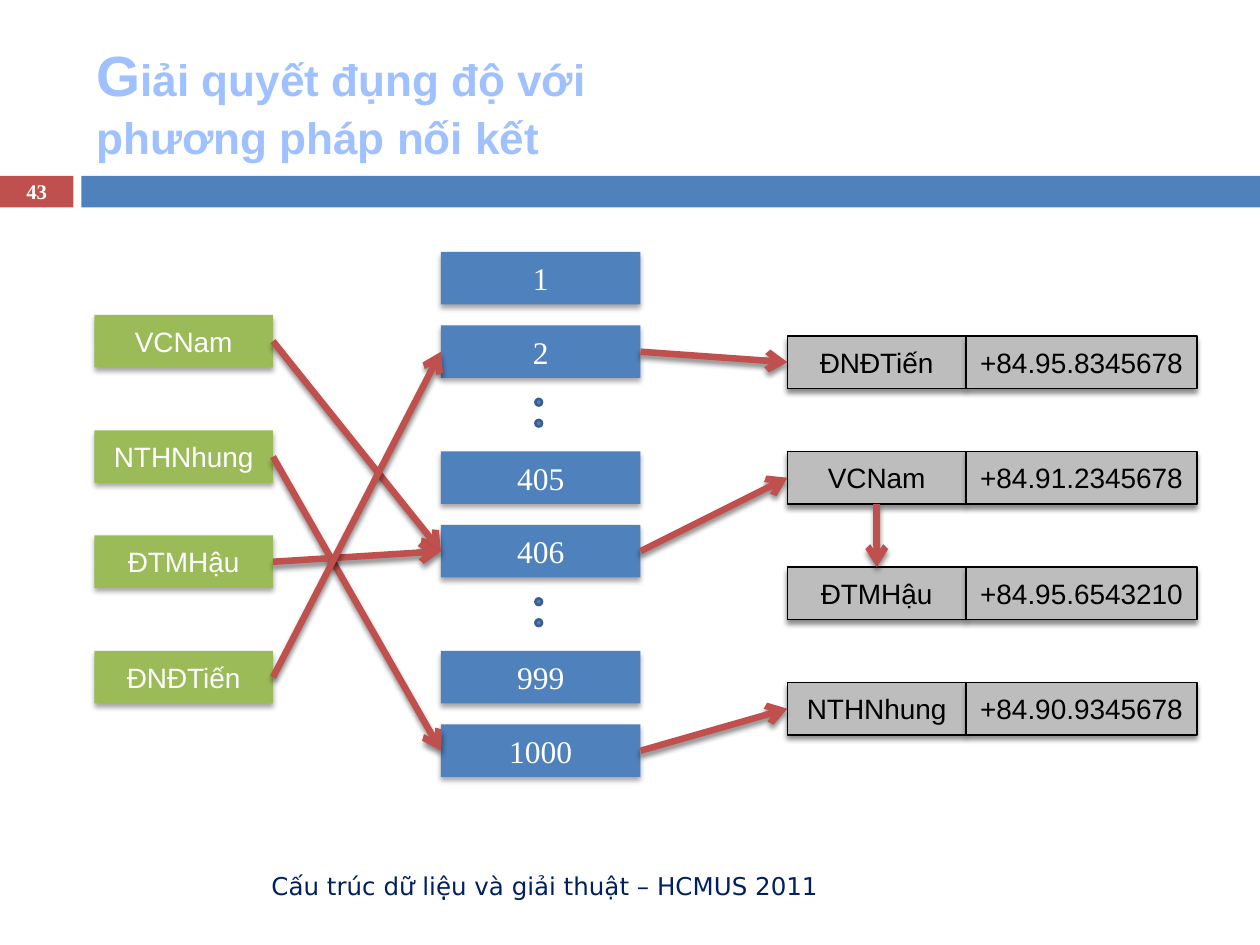
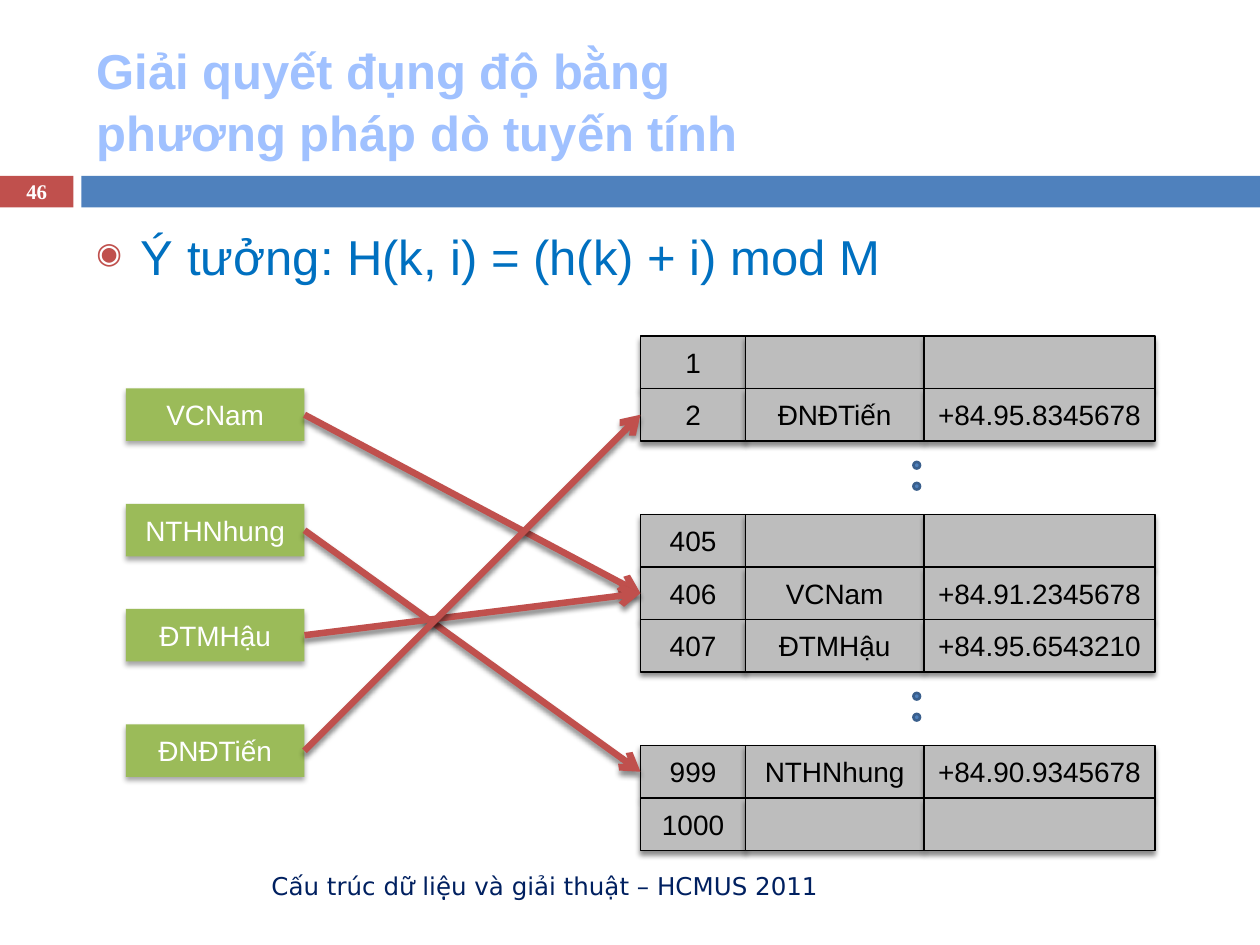
from lxml.etree import SubElement as Sub
from pptx import Presentation
from pptx.dml.color import RGBColor as RGB
from pptx.enum.shapes import MSO_CONNECTOR as Wire, MSO_SHAPE as Form
from pptx.enum.text import MSO_ANCHOR as Anchor, MSO_AUTO_SIZE as Fit, PP_ALIGN as Align
from pptx.oxml.ns import qn
from pptx.util import Pt

PX = 9525
HEX = {
    "title": "A0C1FF", "blue": "4F81BD", "red": "C0504D", "green": "9BBB59",
    "grey": "BDBDBD", "rim": "3A5F8C", "black": "000000", "white": "FFFFFF",
    "navy": "002060", "idea": "0070C0",
}
SANS, SERIF, FOOT = "Arial", "Times New Roman", "DejaVu Sans"
FOOTER = "Cấu trúc dữ liệu và giải thuật – HCMUS 2011"
IDEA = "Ý tưởng: H(k, i) = (h(k) + i) mod M"
ROW, KEY, TEL, SLOT, INDEX, DOT = 40, 136, 176, 152, 80, 5

PHONES = {
    "VCNam": "+84.91.2345678",
    "NTHNhung": "+84.90.9345678",
    "ĐTMHậu": "+84.95.6543210",
    "ĐNĐTiến": "+84.95.8345678",
}
DROPS = (0, 88, 168, 256)
HASH = {"VCNam": "406", "NTHNhung": "1000", "ĐTMHậu": "406", "ĐNĐTiến": "2"}
PROBE = HASH | {"NTHNhung": "999"}

CHAIN = {
    "number": "43",
    "title": [[("G", 32.4), ("iải quyết đụng độ với", 25.2)],
              [("phương pháp nối kết", 25.2)]],
    "slots": [("1", 192), ("2", 248), ("405", 344), ("406", 400),
              ("999", 496), ("1000", 552)],
    "nodes": ["ĐNĐTiến", "VCNam", "ĐTMHậu", "NTHNhung"],
    "heads": [("2", "ĐNĐTiến"), ("406", "VCNam"), ("1000", "NTHNhung")],
    "dots": (408, [304, 456]),
}
LINEAR = {
    "number": "46",
    "title": [[("Giải quyết đụng độ bằng", 28)],
              [("phương pháp dò tuyến tính", 28)]],
    "blocks": [
        (256, [("1", ""), ("2", "ĐNĐTiến")]),
        (392, [("405", ""), ("406", "VCNam"), ("407", "ĐTMHậu")]),
        (568, [("999", "NTHNhung"), ("1000", "")]),
    ],
    "dots": (696, [352, 528]),
}


def tone(name):
    return RGB.from_string(HEX[name])


def scale(*sides):
    return [side * PX for side in sides]


def write(par, text, size, font, color, bold=False):
    run = par.add_run()
    run.text = text
    run.font.size = Pt(size)
    run.font.name = font
    run.font.bold = bold
    run.font.color.rgb = tone(color)


def shade(item, alpha, gap):
    effect = Sub(item.element.spPr, qn("a:effectLst"))
    outer = Sub(effect, qn("a:outerShdw"), blurRad=str(Pt(3)), dist=str(Pt(gap)),
                dir="5400000", rotWithShape="0")
    ink = Sub(outer, qn("a:srgbClr"), val=HEX["black"])
    Sub(ink, qn("a:alpha"), val=str(alpha * 1000))


def draw(slide, form, box, fill, rim=None, width=0):
    item = slide.shapes.add_shape(form, *scale(*box))
    item.fill.solid()
    item.fill.fore_color.rgb = tone(fill)
    if rim:
        item.line.color.rgb = tone(rim)
        item.line.width = Pt(width)
    else:
        item.line.fill.background()
    return item


def plain(slide, form, box, *style):
    draw(slide, form, box, *style).shadow.inherit = False


def cell(slide, box, text, fill, color="white", size=16, font=SANS):
    framed = fill == "grey"
    item = draw(slide, Form.RECTANGLE, box, fill, "black" if framed else None, 0.79)
    shade(item, *((45, 2.4) if framed else (35, 2)))
    if text:
        frame = item.text_frame
        frame.word_wrap = False
        frame.vertical_anchor = Anchor.MIDDLE
        par = frame.paragraphs[0]
        par.alignment = Align.CENTER
        write(par, text, size, font, color)
    return item


def label(slide, box, align, *style):
    frame = slide.shapes.add_textbox(*scale(*box)).text_frame
    frame.word_wrap = True
    frame.vertical_anchor = Anchor.MIDDLE
    par = frame.paragraphs[0]
    par.alignment = align
    write(par, *style)
    return frame


def arrow(slide, start, end, out=3, into=1):
    wire = slide.shapes.add_connector(Wire.STRAIGHT, 0, 0, 0, 0)
    wire.begin_connect(start, out)
    wire.end_connect(end, into)
    wire.line.color.rgb = tone("red")
    wire.line.width = Pt(3.75)
    Sub(wire.element.spPr.find(qn("a:ln")), qn("a:tailEnd"), type="arrow")
    shade(wire, 45, 2.4)


def page(deck, data):
    slide = deck.slides.add_slide(deck.slide_layouts[5])
    plain(slide, Form.RECTANGLE, (0, 134, 56, 24), "red")
    plain(slide, Form.RECTANGLE, (62, 134, 898, 24), "blue")
    title = slide.shapes.title
    title.left, title.top, title.width, title.height = scale(64, 24, 856, 104)
    frame = title.text_frame
    frame.auto_size = Fit.NONE
    frame.word_wrap = True
    frame.vertical_anchor = Anchor.MIDDLE
    par = frame.paragraphs[0]
    par.alignment = Align.LEFT
    par.line_spacing = 1.05
    for row, runs in enumerate(data["title"]):
        if row:
            par.add_line_break()
        for text, size in runs:
            write(par, text, size, SANS, "title", True)
    for turn in title.element.iter(qn("a:br")):
        Sub(turn, qn("a:rPr"), sz=str(int(size * 100)))
    label(slide, (64, 656, 569, 38), Align.RIGHT, FOOTER, 14, FOOT, "navy")
    label(slide, (0, 133, 56, 26), Align.CENTER, data["number"], 11.9, SERIF, "white", True)
    left, tops = data["dots"]
    for top in tops:
        for step in (0, 16):
            plain(slide, Form.OVAL, (left, top + step, DOT, DOT), "blue", "rim", 1.5)
    return slide


def keys(slide, left, top):
    return {name: cell(slide, (left, top + drop, KEY, ROW), name, "green")
            for name, drop in zip(PHONES, DROPS)}


def entry(slide, left, top, name):
    node = cell(slide, (left, top, KEY, ROW), name, "grey", "black")
    cell(slide, (left + KEY, top, TEL, ROW), PHONES.get(name), "grey", "black")
    return node


def chain(deck):
    slide = page(deck, CHAIN)
    slots = {text: cell(slide, (336, top, SLOT, ROW), text, "blue", "white", 18, SERIF)
             for text, top in CHAIN["slots"]}
    names = keys(slide, 72, 240)
    nodes = {name: entry(slide, 600, 256 + 88 * row, name)
             for row, name in enumerate(CHAIN["nodes"])}
    for name, slot in HASH.items():
        arrow(slide, names[name], slots[slot])
    for slot, name in CHAIN["heads"]:
        arrow(slide, slots[slot], nodes[name])
    arrow(slide, nodes["VCNam"], nodes["ĐTMHậu"], 2, 0)


def linear(deck):
    slide = page(deck, LINEAR)
    frame = label(slide, (64, 168, 856, 472), Align.LEFT, IDEA, 28, SANS, "idea")
    frame.vertical_anchor = Anchor.TOP
    par = frame.paragraphs[0]
    par.space_before = Pt(7)
    prop = par._p.get_or_add_pPr()
    prop.set("marL", str(34 * PX))
    prop.set("indent", str(-34 * PX))
    Sub(Sub(prop, qn("a:buClr")), qn("a:srgbClr"), val=HEX["red"])
    Sub(prop, qn("a:buSzPct"), val="60000")
    Sub(prop, qn("a:buChar"), char="◉")
    names = keys(slide, 96, 296)
    slots = {}
    for top, rows in LINEAR["blocks"]:
        for row, (slot, name) in enumerate(rows):
            y = top + row * ROW
            slots[slot] = cell(slide, (488, y, INDEX, ROW), slot, "grey", "black")
            entry(slide, 488 + INDEX, y, name)
    for name, slot in PROBE.items():
        arrow(slide, names[name], slots[slot])


def main():
    deck = Presentation()
    deck.slide_width, deck.slide_height = scale(960, 720)
    chain(deck)
    linear(deck)
    deck.save("out.pptx")


if __name__ == "__main__":
    main()
